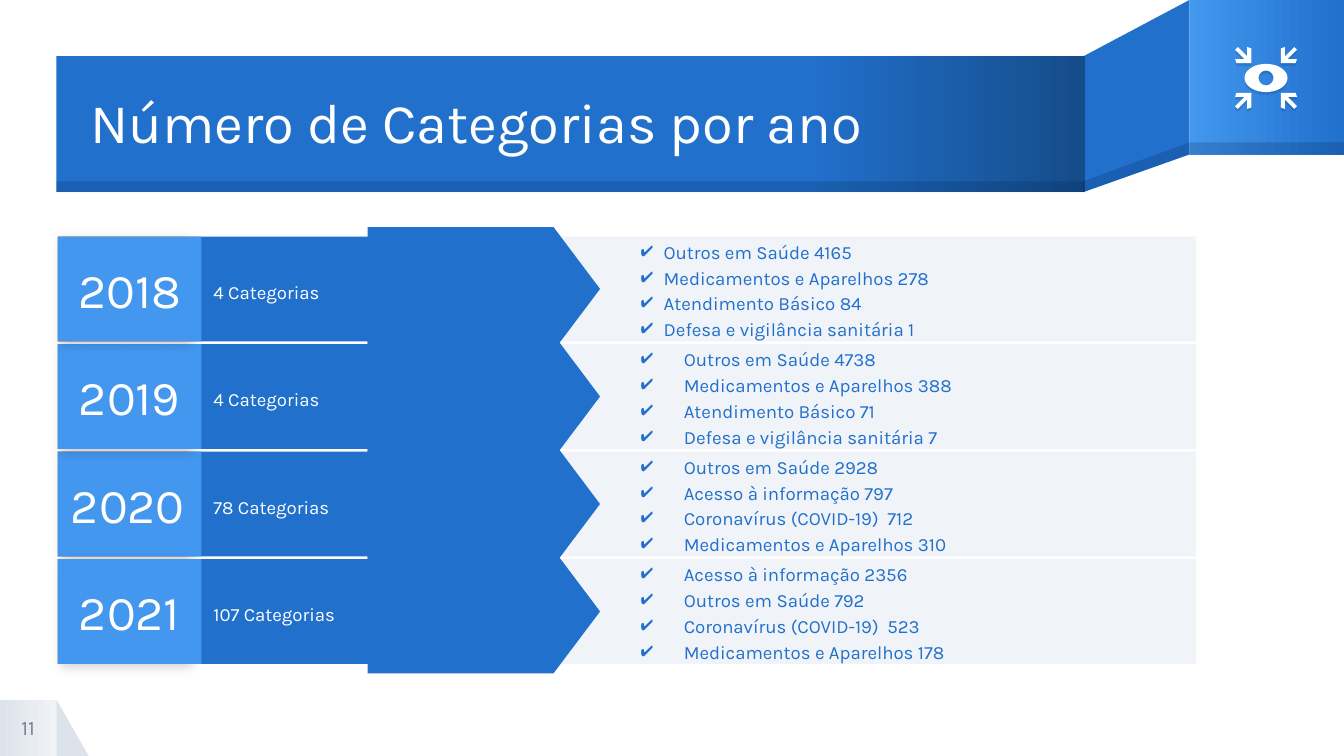
import math
import pptx
import pptx.util
import pptx.dml.color
import pptx.enum.shapes
import pptx.enum.text
import pptx.oxml
import pptx.oxml.ns

COLORS = {
    "blue": "2170CC", "light": "4397EE", "deep": "154C8A", "navy": "001F46",
    "panel": "F0F3F7", "grey": "DDE3EB", "number": "748394", "back": "B02C20",
    "white": "FFFFFF", "black": "000000",
}
FONT = "Karla"
SHAPE = pptx.enum.shapes.MSO_SHAPE
ALIGN = pptx.enum.text.PP_ALIGN
qn = pptx.oxml.ns.qn
NS = 'xmlns:a="http://schemas.openxmlformats.org/drawingml/2006/main"'

W, H = 10, 5.625
MARGIN = 0.42
FOLD, TAB = 8.06, 8.85          # left edges of the ribbon's fold and tab
ROW_TOP, ROW_STEP, ROW_H = 1.76, 0.8, 0.78
EYE_X, EYE_Y = 9.42, 0.58

# row, year, alignment, label, (indent, hanging), items; from back to front
ROWS = [
    (2, "2020", ALIGN.LEFT, "78 Categorias", (0.5, 0.32),
     ["Outros em Saúde 2928", "Acesso à informação 797",
      "Coronavírus (COVID-19)  712", "Medicamentos e Aparelhos 310"]),
    (1, "2019", ALIGN.CENTER, "4 Categorias", (0.5, 0.32),
     ["Outros em Saúde 4738", "Medicamentos e Aparelhos 388",
      "Atendimento Básico 71", "Defesa e vigilância sanitária 7"]),
    (0, "2018", ALIGN.CENTER, "4 Categorias", (0.35, 0.17),
     ["Outros em Saúde 4165", "Medicamentos e Aparelhos 278",
      "Atendimento Básico 84", "Defesa e vigilância sanitária 1"]),
    (3, "2021", ALIGN.CENTER, "107 Categorias", (0.5, 0.32),
     ["Acesso à informação 2356", "Outros em Saúde 792",
      "Coronavírus (COVID-19)  523", "Medicamentos e Aparelhos 178"]),
]


def emu(*lengths):
    return [pptx.util.Inches(v) for v in lengths]


def rgb(name):
    return pptx.dml.color.RGBColor.from_string(COLORS[name])


def xml(text):
    return pptx.oxml.parse_xml(text)


def paint(sp, color, alpha=None):
    sp.shadow.inherit = False
    sp.line.fill.background()
    sp.fill.solid()
    sp.fill.fore_color.rgb = rgb(color)
    if alpha:
        clr = sp._element.spPr.find(".//" + qn("a:srgbClr"))
        clr.append(xml(f'<a:alpha {NS} val="{alpha * 1000}"/>'))
    return sp


def add_box(s, kind, box, color, alpha=None):
    return paint(s.shapes.add_shape(kind, *emu(*box)), color, alpha)


def add_gradient(s, box, stops):
    sp = add_box(s, SHAPE.RECTANGLE, box, stops[0][1])
    sp.fill.gradient()
    sp.fill.gradient_angle = 0
    gs = sp._element.spPr.find(".//" + qn("a:gsLst"))
    for old in list(gs):
        gs.remove(old)
    for pos, color in stops:
        gs.append(xml(f'<a:gs {NS} pos="{pos * 1000}">'
                      f'<a:srgbClr val="{COLORS[color]}"/></a:gs>'))


def add_outline(s, contours, color, alpha=None):
    fb = None
    for contour in contours:
        points = [tuple(emu(*pt)) for pt in contour]
        if fb is None:
            fb = s.shapes.build_freeform(*points[0], scale=1.0)
        else:
            fb.move_to(*points[0])
        fb.add_line_segments(points[1:], close=True)
    return paint(fb.convert_to_shape(), color, alpha)


def add_shadow(sp, color, alpha, blur, dist, angle):
    effects = sp._element.spPr.find(qn("a:effectLst"))
    effects.append(xml(
        f'<a:outerShdw {NS} blurRad="{round(blur * 12700)}" dist="{round(dist * 12700)}" '
        f'dir="{angle * 60000}" algn="bl" rotWithShape="0"><a:srgbClr val="{COLORS[color]}">'
        f'<a:alpha val="{alpha * 1000}"/></a:srgbClr></a:outerShdw>'))


def write(sp, lines, size, color, align=ALIGN.LEFT, inset=0.1, spacing=None, hang=None):
    tf = sp.text_frame
    pad = pptx.util.Inches(inset)
    frame = {"word_wrap": True, "vertical_anchor": pptx.enum.text.MSO_ANCHOR.MIDDLE,
             "margin_left": pad, "margin_right": pad, "margin_top": pad, "margin_bottom": pad}
    for name, value in frame.items():
        setattr(tf, name, value)
    for i, line in enumerate(lines):
        p = tf.paragraphs[0] if i == 0 else tf.add_paragraph()
        p.alignment = align
        if spacing:
            p.line_spacing = spacing
        if hang:
            add_bullet(p, color, *hang)
        r = p.add_run()
        r.text = line
        for name, value in {"name": FONT, "size": pptx.util.Pt(size)}.items():
            setattr(r.font, name, value)
        r.font.color.rgb = rgb(color)


def add_bullet(p, color, indent, hanging):
    pPr = p._p.get_or_add_pPr()
    left, back = emu(indent, hanging)
    pPr.set("marL", str(left))
    pPr.set("indent", str(-back))
    pPr.append(xml(f'<a:buClr {NS}><a:srgbClr val="{COLORS[color]}"/></a:buClr>'))
    pPr.append(xml(f'<a:buChar {NS} char="✔"/>'))


def add_text(s, box, lines, size, color, **fmt):
    write(s.shapes.add_textbox(*emu(*box)), lines, size, color, **fmt)


def add_ribbon(s):
    add_outline(s, [[(TAB, 0), (FOLD, 0.42), (FOLD, 1.43), (TAB, 1.15)]], "blue")
    add_gradient(s, (TAB, 0, W - TAB, 1.15), [(0, "light"), (100, "blue")])
    add_gradient(s, (MARGIN, 0.42, 7.65, 1.01), [(0, "blue"), (73, "blue"), (100, "deep")])
    # Darker lower edges
    add_outline(s, [[(TAB, 1.06), (FOLD, 1.35), (FOLD, 1.43), (TAB, 1.15)]], "navy", 20)
    add_box(s, SHAPE.RECTANGLE, (TAB, 1.06, W - TAB, 0.09), "navy", 20)
    add_box(s, SHAPE.RECTANGLE, (MARGIN, 1.35, 7.65, 0.08), "navy", 20)


def add_eye_icon(s):
    turns = [math.radians(a) for a in range(0, 360, 10)]
    lid = [(EYE_X + 0.16 * math.cos(t), EYE_Y + 0.105 * math.sin(t)) for t in turns]
    iris = [(EYE_X + 0.055 * math.cos(t), EYE_Y - 0.055 * math.sin(t)) for t in turns]
    parts = [[lid, iris]]
    # One arrow mirrored into the four corners
    arrow = [(0.11, 0.11), (0.22, 0.11), (0.23, 0.14), (0.16, 0.14), (0.23, 0.21),
             (0.21, 0.23), (0.14, 0.16), (0.14, 0.23), (0.11, 0.22)]
    for sx, sy in [(1, -1), (-1, -1), (1, 1), (-1, 1)]:
        parts.append([[(EYE_X + sx * x, EYE_Y + sy * y) for x, y in arrow]])
    for contours in parts:
        add_shadow(add_outline(s, contours, "white"), "navy", 15, 0, 1.5, 90)


def add_year_row(s, row, year, align, label, hang, items):
    top = ROW_TOP + row * ROW_STEP
    add_box(s, SHAPE.RECTANGLE, (3.46, top, 5.44, ROW_H), "panel")
    add_box(s, SHAPE.RECTANGLE, (1.41, top, 2.62, ROW_H), "blue")
    # Pointer, turned to the right about its centre
    wide, tall = 0.92, 1.73
    pointer = add_box(s, SHAPE.FLOWCHART_OFFPAGE_CONNECTOR,
                      (3.6 - wide / 2, top + (ROW_H - tall) / 2, wide, tall), "blue")
    pointer.rotation = 270
    add_text(s, (1.49, top + 0.1, 2.76, 0.6), [label], 10, "white", spacing=1.15)
    # Year tile over its shadow
    back = add_box(s, SHAPE.RECTANGLE, (0.43, top, 0.98, ROW_H), "back")
    add_shadow(back, "black", 17, 5.6, 2.2, 45)
    tile = add_box(s, SHAPE.RECTANGLE, (0.43, top, 1.07, ROW_H), "light")
    write(tile, [year], 26, "white", align=align)
    add_text(s, (4.49, top, 4.23, ROW_H), items, 10, "blue", spacing=1.15, hang=hang)


def main():
    prs = pptx.Presentation()
    prs.slide_width, prs.slide_height = emu(W, H)
    s = prs.slides.add_slide(prs.slide_layouts[6])

    # Page corner
    corner = H - MARGIN
    add_box(s, SHAPE.RIGHT_TRIANGLE, (MARGIN, corner, 0.24, MARGIN), "grey")
    add_gradient(s, (0, corner, MARGIN, MARGIN), [(0, "grey"), (100, "panel")])

    # Header
    add_ribbon(s)
    add_eye_icon(s)
    add_text(s, (0.67, 0.43, 7.39, 1.01), ["Número de Categorias por ano"], 30, "white",
             inset=0, spacing=0.9)
    add_text(s, (0, corner, MARGIN, MARGIN), ["11"], 11, "number",
             align=ALIGN.CENTER, inset=0)

    # Years
    for row in ROWS:
        add_year_row(s, *row)
    prs.save("out.pptx")


if __name__ == "__main__":
    main()
